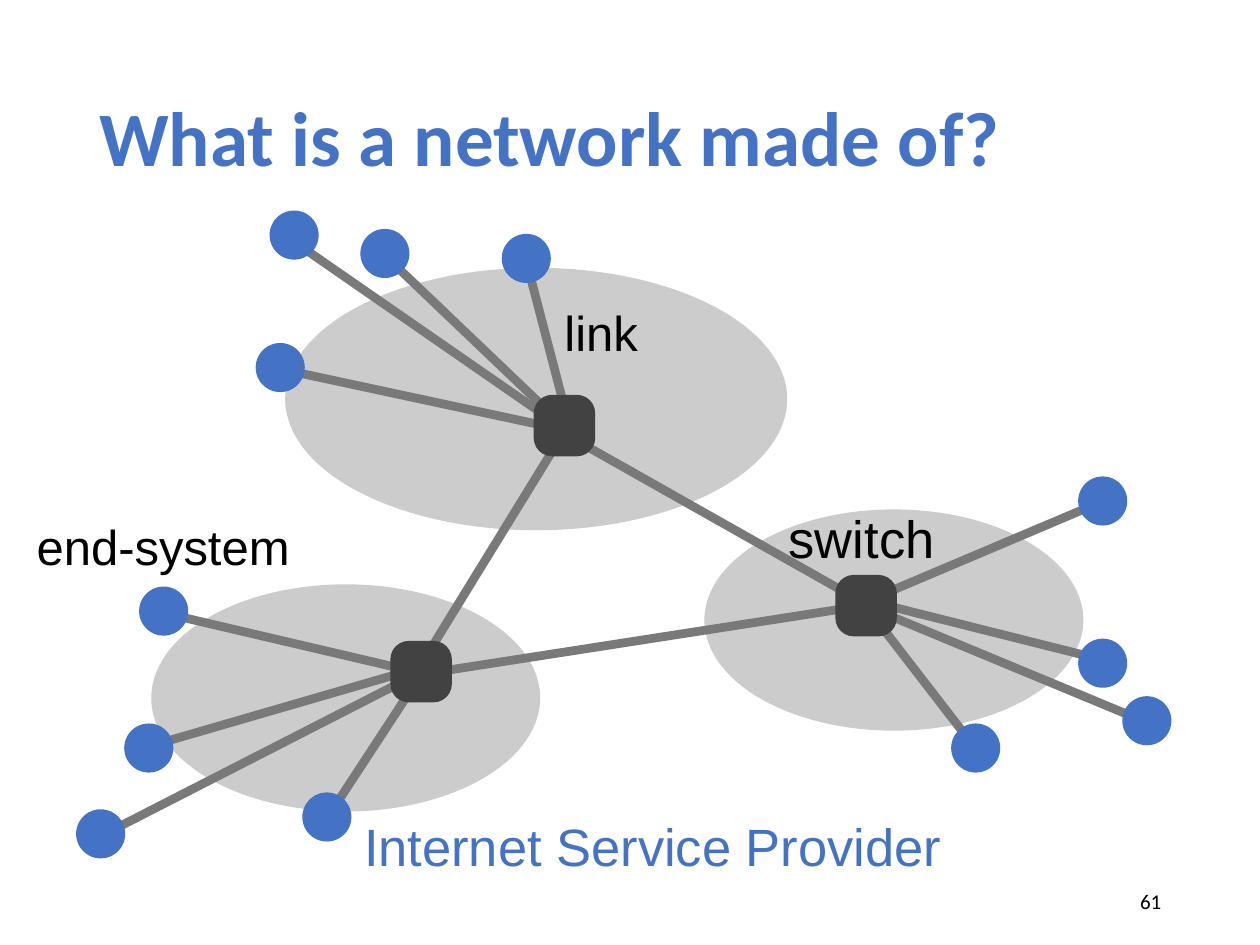
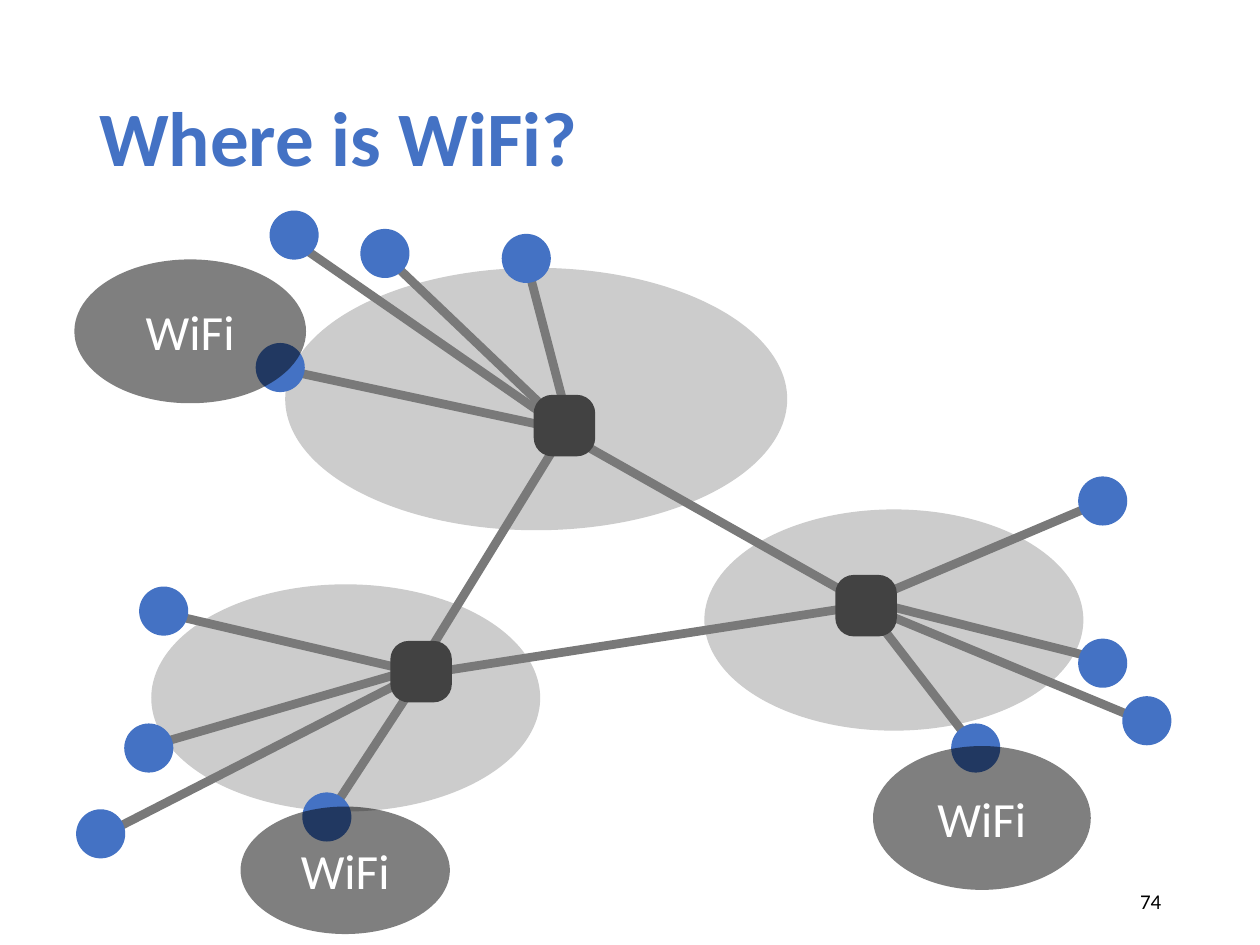
"""Build two slides that show a network and the places where WiFi is used."""
from lxml import etree
from pptx import Presentation
from pptx import util as u
from pptx.dml import color
from pptx.enum import shapes, text
from pptx.oxml import ns

# All lengths and positions are in centimetres.
COLOURS = {"accent": "4472C4", "provider": "CCCCCC", "link": "797979",
           "switch": "424242", "ink": "000000", "light": "FFFFFF"}

PROVIDERS = [(14.2, 10.27, 7.64, 4.46), (5.75, 5.4, 10.12, 5.29),
             (3.05, 11.78, 7.84, 4.58)]

SWITCHES = [(11.38, 8.58), (8.49, 13.54), (17.46, 12.21)]
SWITCH_SIZE = 1.24

END_SYSTEMS = [(5.65, 7.41), (3.3, 12.32), (6.59, 16.47), (5.93, 4.74),
               (7.76, 5.11), (3, 15.08), (22.23, 10.1), (19.67, 15.08),
               (22.23, 13.37), (2.03, 16.81), (23.12, 14.53), (10.61, 5.21)]
END_SYSTEM_SIZE = 0.99

ACCESS_LINKS = [
    (10.64, 5.38, 11.51, 8.71), (23.16, 14.58, 17.4, 12.19),
    (8.31, 13.64, 1.96, 16.89), (5.66, 7.44, 11.25, 8.64),
    (3.23, 12.34, 8.36, 13.54), (8.46, 13.64, 6.68, 16.36),
    (5.94, 4.88, 11.18, 8.51), (7.77, 5.16, 11.25, 8.48),
    (2.95, 15.06, 8.36, 13.49), (22.17, 10.13, 17.35, 12.17),
    (17.53, 12.32, 19.63, 15.04), (22.15, 13.28, 17.53, 12.12)]
TRUNK_LINKS = [(11.23, 8.66, 17.48, 12.19), (11.4, 8.66, 8.48, 13.41),
               (17.53, 12.19, 8.51, 13.59)]

# Text, box, size, colour, wrapping
LABELS = [("link", (11.28, 5.99, 1.7, 1.4), 28, "ink", False),
          ("switch", (15.8, 10.11, 3.18, 1.47), 30, "ink", False),
          ("end-system", (0.64, 10.31, 5.79, 1.4), 28, "ink", True),
          ("Internet Service Provider", (7.24, 16.31, 12.22, 1.47), 30,
           "accent", True)]

WIFI_ZONES = [(4.85, 16.26, 4.22, 2.57), (17.6, 15.04, 4.39, 2.9),
              (1.5, 5.23, 4.67, 2.9)]


def rgb(value):
    """Turn a hex string into a colour."""
    return color.RGBColor.from_string(value)


def centimetres(values):
    """Turn plain numbers into lengths."""
    return [u.Cm(value) for value in values]


def apply(target, values):
    """Set the attributes of an object from a dict."""
    for name, value in values.items():
        setattr(target, name, value)


class Deck:
    """Holds the presentation, its style and the current slide."""

    def __init__(self):
        """Open an empty 4:3 presentation."""
        self.presentation = Presentation()
        apply(self.presentation, {"slide_width": u.Cm(25.4),
                                  "slide_height": u.Cm(19.05)})
        self.slide = None

    def new_slide(self, title, number):
        """Start a slide with its title and number."""
        self.slide = self.presentation.slides.add_slide(
            self.presentation.slide_layouts[6])
        self.text_box(title, (1.75, 1.02, 21.9, 3.68),
                      {"size": u.Pt(44), "bold": True}, "accent",
                      {"line_spacing": 0.9})
        self.text_box(number, (17.94, 17.66, 5.72, 1.01),
                      {"size": u.Pt(12)}, "ink",
                      {"alignment": text.PP_ALIGN.RIGHT})

    def set_text(self, shape, wording, font, colour, layout=None, inset=None,
                 wrap=True):
        """Put one formatted paragraph into a shape."""
        frame = shape.text_frame
        apply(frame, {"word_wrap": wrap,
                      "vertical_anchor": text.MSO_ANCHOR.MIDDLE})
        if inset is not None:
            sides = ("left", "top", "right", "bottom")
            apply(frame, {f"margin_{side}": u.Cm(inset) for side in sides})
        paragraph = frame.paragraphs[0]
        apply(paragraph, layout or {})
        run = paragraph.add_run()
        run.text = wording
        apply(run.font, {"name": "Calibri", **font})
        run.font.color.rgb = rgb(COLOURS[colour])

    def text_box(self, wording, box, font, colour, layout=None, **frame):
        """Add a text box."""
        shape = self.slide.shapes.add_textbox(*centimetres(box))
        self.set_text(shape, wording, font, colour, layout, **frame)
        return shape

    def label(self, wording, box, size, colour, wrap):
        """Add a label that grows with its text."""
        shape = self.text_box(wording, box,
                              {"name": "Arial", "size": u.Pt(size)}, colour,
                              inset=0.1, wrap=wrap)
        shape.text_frame.auto_size = text.MSO_AUTO_SIZE.SHAPE_TO_FIT_TEXT

    def filled(self, kind, box, colour):
        """Add a flat preset shape without an outline."""
        shape = self.slide.shapes.add_shape(kind, *centimetres(box))
        shape.shadow.inherit = False
        shape.fill.solid()
        shape.fill.fore_color.rgb = rgb(COLOURS[colour])
        shape.line.fill.background()
        return shape

    def oval(self, box, colour):
        """Add an ellipse."""
        return self.filled(shapes.MSO_SHAPE.OVAL, box, colour)

    def end_system(self, x, y):
        """Add a round end-system around a centre."""
        half = END_SYSTEM_SIZE / 2
        self.oval((x - half, y - half, END_SYSTEM_SIZE, END_SYSTEM_SIZE),
                  "accent")

    def switch(self, x, y):
        """Add a rounded switch around a centre."""
        half = SWITCH_SIZE / 2
        shape = self.filled(shapes.MSO_SHAPE.ROUNDED_RECTANGLE,
                            (x - half, y - half, SWITCH_SIZE, SWITCH_SIZE),
                            "switch")
        shape.adjustments[0] = 0.3

    def link(self, ends):
        """Add a straight link between two points."""
        connector = self.slide.shapes.add_connector(
            shapes.MSO_CONNECTOR.STRAIGHT, *centimetres(ends))
        connector.line.color.rgb = rgb(COLOURS["link"])
        connector.line.width = u.Pt(5)
        etree.SubElement(connector._element.spPr, ns.qn("a:effectLst"))

    def wifi_zone(self, box):
        """Add a half transparent WiFi ellipse."""
        shape = self.oval(box, "ink")
        fill = shape._element.spPr.find(ns.qn("a:solidFill"))
        etree.SubElement(fill[0], ns.qn("a:alpha"), val="50000")
        self.set_text(shape, "WiFi", {"size": u.Pt(28.1)}, "light",
                      {"alignment": text.PP_ALIGN.CENTER}, inset=0)

    def network(self):
        """Draw the network that both slides share."""
        for box in PROVIDERS:
            self.oval(box, "provider")
        for ends in ACCESS_LINKS:
            self.link(ends)
        for centre in END_SYSTEMS:
            self.end_system(*centre)
        for ends in TRUNK_LINKS:
            self.link(ends)
        for centre in SWITCHES:
            self.switch(*centre)


def main():
    """Build both slides and save them."""
    deck = Deck()

    deck.new_slide("What is a network made of?", "61")
    deck.network()
    for label in LABELS:
        deck.label(*label)

    deck.new_slide("Where is WiFi?", "74")
    deck.network()
    for box in WIFI_ZONES:
        deck.wifi_zone(box)

    deck.presentation.save("out.pptx")


main()
